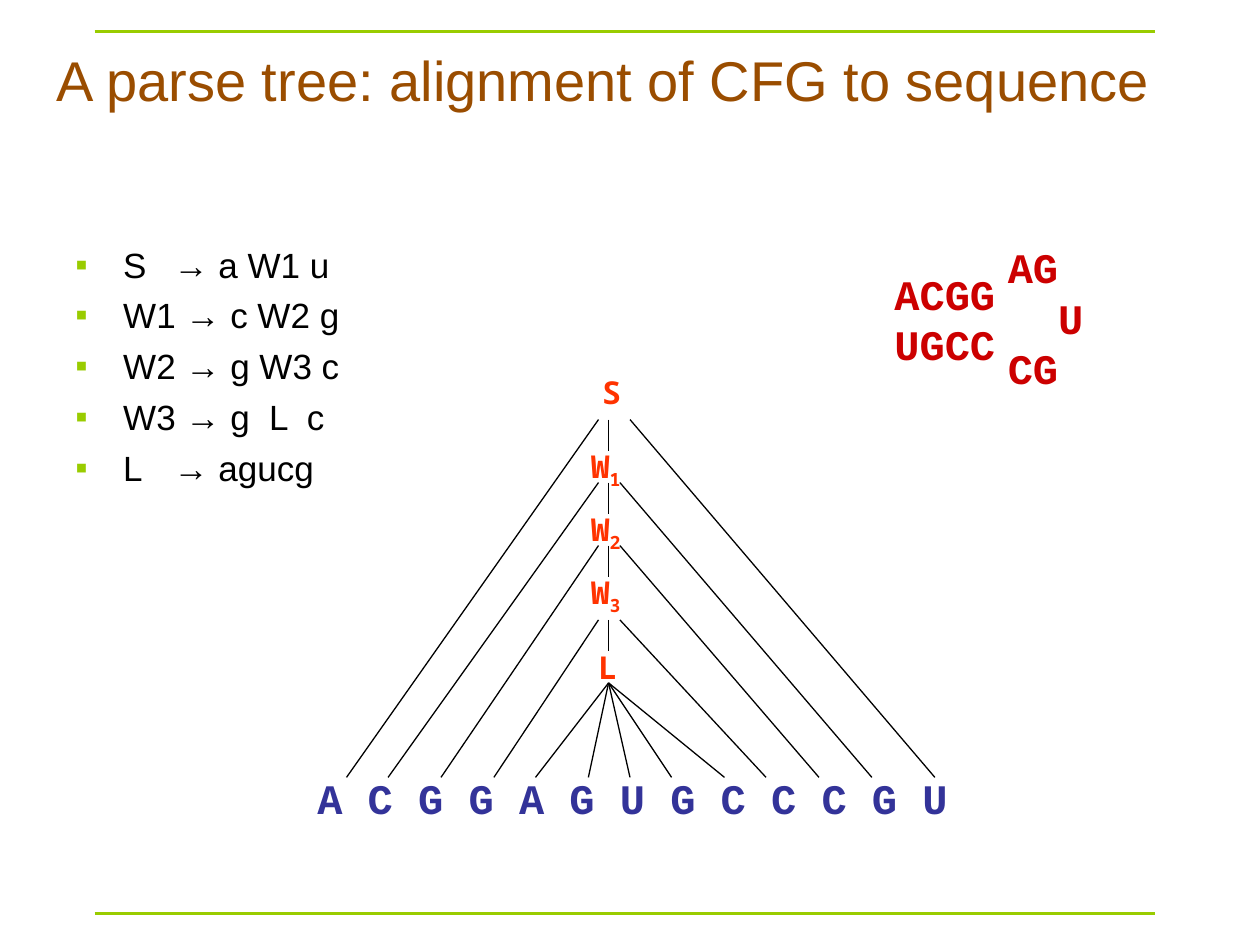
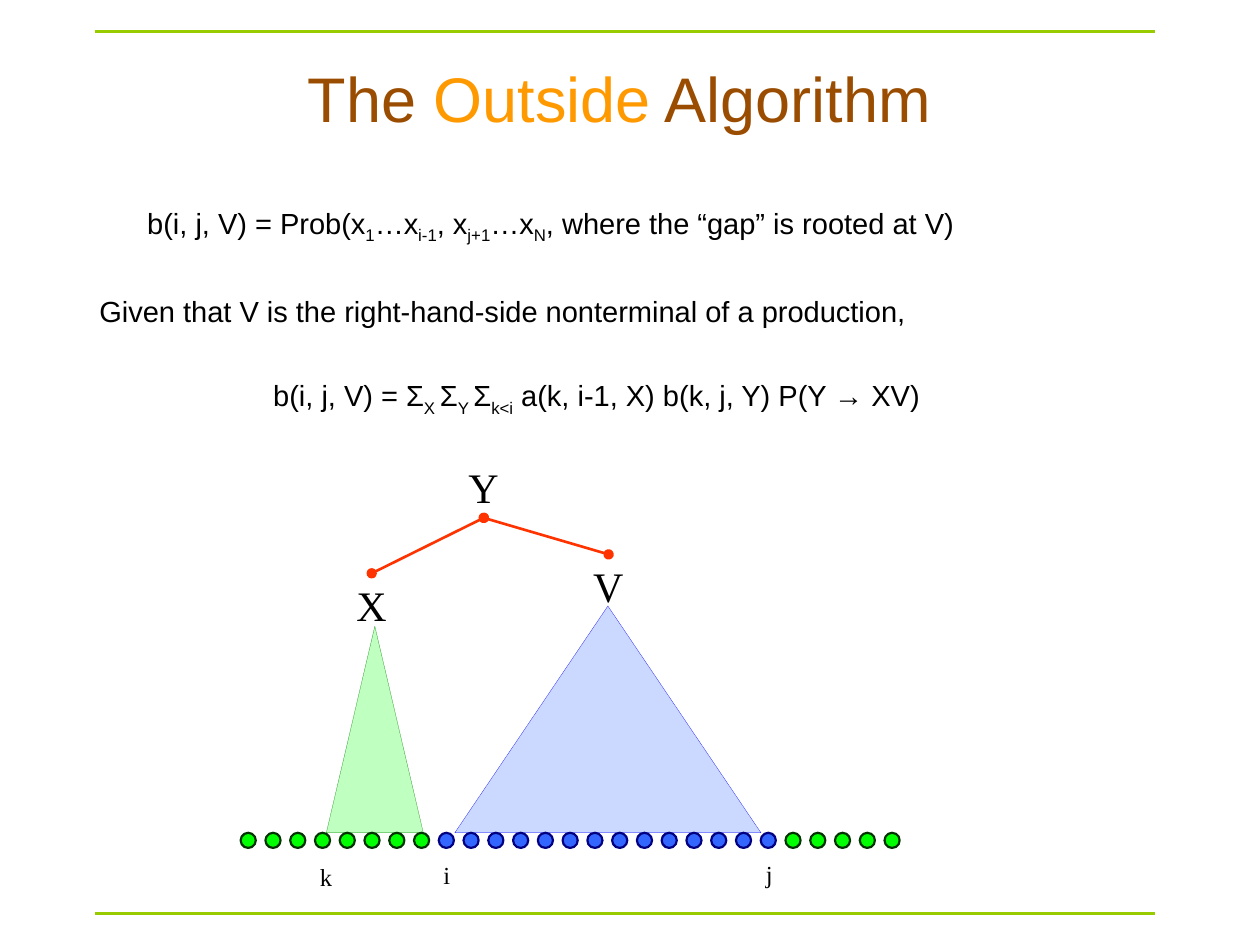
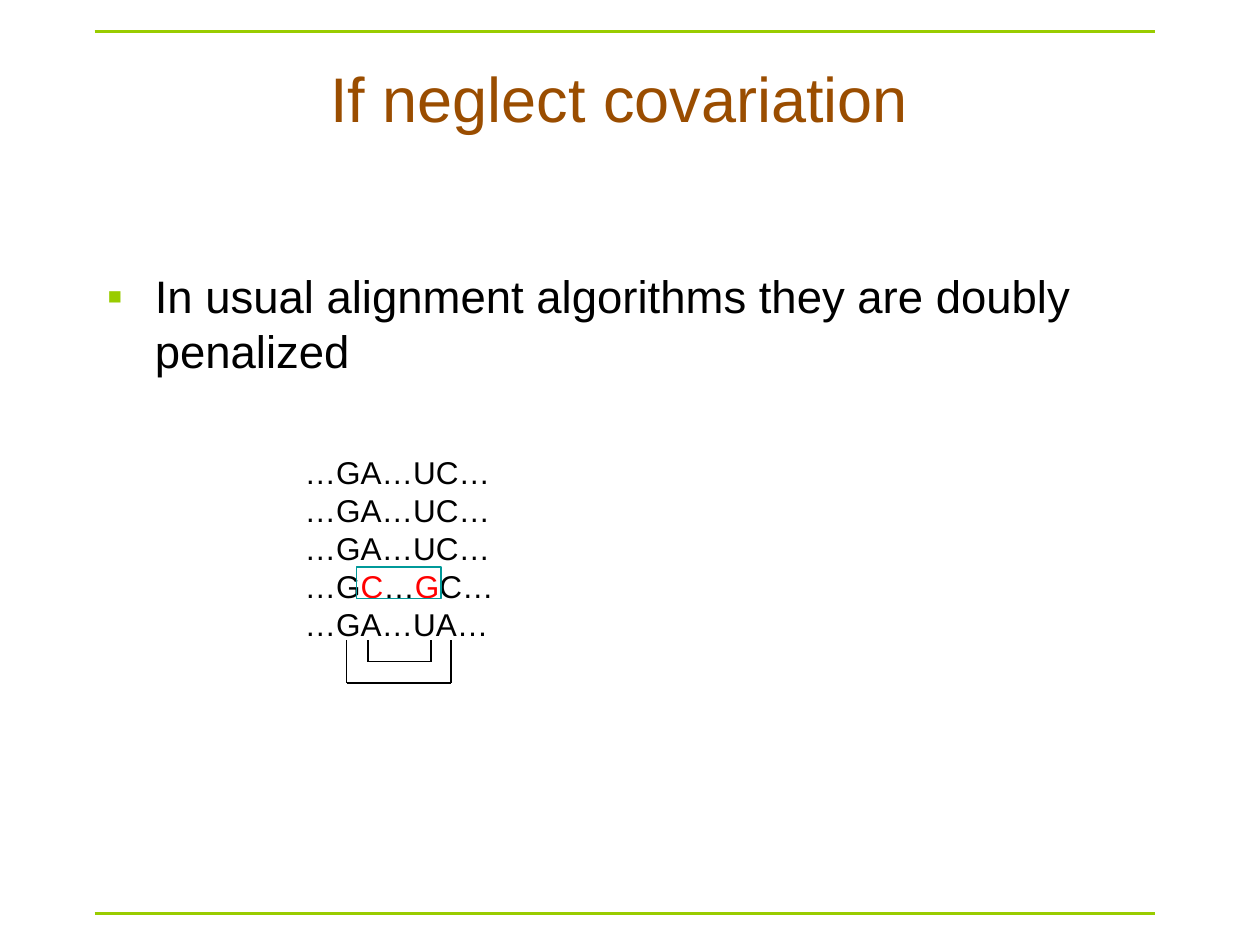
"""Build three slides on parsing RNA sequences with context-free grammars."""
import itertools

import pptx
import pptx.dml.color
import pptx.enum.shapes
import pptx.enum.text
import pptx.oxml.ns
import pptx.util
from lxml import etree

Inches = pptx.util.Inches
Pt = pptx.util.Pt
RGBColor = pptx.dml.color.RGBColor
Preset = pptx.enum.shapes.MSO_SHAPE
Align = pptx.enum.text.PP_ALIGN
qn = pptx.oxml.ns.qn

BLACK = RGBColor(0x00, 0x00, 0x00)
LIME = RGBColor(0x99, 0xCC, 0x00)
BROWN = RGBColor(0x9A, 0x4D, 0x00)
ORANGE = RGBColor(0xFF, 0x99, 0x00)
CRIMSON = RGBColor(0xCC, 0x00, 0x00)
RED = RGBColor(0xFF, 0x00, 0x00)
VERMILION = RGBColor(0xFF, 0x33, 0x00)
INDIGO = RGBColor(0x33, 0x33, 0x99)
TEAL = RGBColor(0x00, 0x99, 0x99)
BLUE = RGBColor(0x33, 0x66, 0xFF)
PURE_BLUE = RGBColor(0x00, 0x00, 0xFF)
NAVY = RGBColor(0x00, 0x00, 0x80)
GREEN = RGBColor(0x00, 0xFF, 0x00)
MID_GREEN = RGBColor(0x00, 0x80, 0x00)
DARK_GREEN = RGBColor(0x00, 0x33, 0x00)

SUB = "subscript"
SANS, MONO, TREE_FONT, SERIF = "Arial", "Courier New", "Noto Sans Mono", "Times New Roman"
BAND_TOPS = (0.25, 7.25)
BAND_LEFT, BAND_RIGHT = 0.75, 9.17
TITLE_AREA = (1, 0.42, 7.83, 0.7)
HANG = 0.38

RULES = ["S\t→ a W1 u", "W1 → c W2 g", "W2 → g W3 c", "W3 → g  L  c", "L\t→ agucg"]
RULE_TAB = 0.78
STEM = ["ACGG", "UGCC"]
LOOP = ["AG", "U", "CG"]
SEQUENCE = "A C G G A G U G C C C G U"
TREE_NODES = [
    (["S"], 4.68, 2.91, 0.34),
    (["W", ("1", SUB)], 4.59, 3.5, 0.52),
    (["W", ("2", SUB)], 4.59, 4, 0.52),
    (["W", ("3", SUB)], 4.59, 4.5, 0.52),
    (["L"], 4.65, 5.09, 0.34),
]
LEAVES = [2.75, 3.08, 3.5, 3.92, 4.25, 4.67, 5, 5.33, 5.75, 6.08, 6.5, 6.92, 7.42]
LEAF_TOP, SPINE, SPINE_STEP, LOOP_TOP = 6.17, 4.83, 0.25, 5.42
BRANCHES = [(4.75, 5, 3.33), (4.75, 4.92, 3.83), (4.75, 4.92, 4.33), (4.75, 4.92, 4.92)]

OUTSIDE_TEXT = [
    (HANG, 4.5, ["b(i, j, V) = Prob(x", ("1", SUB), "…x", ("i-1", SUB), ", x", ("j+1", SUB),
                 "…x", ("N", SUB), ", where the “gap” is rooted at V)"]),
    (0, 28, ["Given that V is the right-hand-side nonterminal of a production,"]),
    (1 + HANG, 28, ["b(i, j, V) = Σ", ("X ", SUB), "Σ", ("Y ", SUB), "Σ", ("k<i", SUB),
                    " a(k, i-1, X) b(k, j, Y) P(Y → XV)"]),
]
DOT_RUNS = [(8, GREEN, DARK_GREEN), (14, BLUE, NAVY), (5, GREEN, DARK_GREEN)]
DOT_LEFT, DOT_TOP, DOT_SIZE, DOT_STEP = 1.91, 6.61, 0.12, 5.11 / 26
TRIANGLES = [((3.61, 4.81, 2.43, 1.8), BLUE, PURE_BLUE),
             ((2.59, 4.97, 0.77, 1.64), GREEN, MID_GREEN)]
MARKS = [("Y", 24, (3.62, 3.61, 0.44, 0.5)), ("X", 24, (2.73, 4.55, 0.44, 0.5)),
         ("V", 24, (4.61, 4.4, 0.44, 0.5)), ("k", 14, (2.44, 6.79, 0.3, 0.34)),
         ("i", 14, (3.42, 6.78, 0.25, 0.34)), ("j", 14, (5.98, 6.77, 0.25, 0.34))]
Y_POINT = (3.84, 4.11)
CHILD_POINTS = [(2.95, 4.55), (4.83, 4.4)]

PENALTY = "In usual alignment algorithms they are doubly penalized"
ALIGNMENT = [["…GA…UC…"]] * 3 + [["…G", ("C", RED), "…", ("G", RED), "C…"], ["…GA…UA…"]]
BRACKETS = [(2.92, 3.42, 5.25), (2.75, 3.58, 5.42)]
BRACKET_TOP = 5.08


def add_spans(para, spans, font, size, color, bold=False):
    """Fill a paragraph with plain, subscript and coloured spans."""
    para.font.name, para.font.size, para.font.bold = font, Pt(size), bold
    varied = any(isinstance(item, tuple) and item[1] != SUB for item in spans)
    if not varied:
        para.font.color.rgb = color
    for item in spans:
        text, style = item if isinstance(item, tuple) else (item, None)
        span = para.add_run()
        span.text = text
        if style == SUB:
            span.font._element.set("baseline", "-25000")
        elif varied:
            span.font.color.rgb = style or color


def indent(para, left, first=0):
    """Set the left and first-line indents of a paragraph in inches."""
    props = para._p.get_or_add_pPr()
    props.set("marL", str(Inches(left)))
    props.set("indent", str(Inches(first)))
    return props


def add_bullet(para, tab=None):
    """Give a paragraph a hanging green square and an optional tab stop."""
    props = indent(para, HANG, -HANG)
    color = etree.SubElement(props, qn("a:buClr"))
    etree.SubElement(color, qn("a:srgbClr"), val=str(LIME))
    etree.SubElement(props, qn("a:buFont"), typeface=SANS)
    etree.SubElement(props, qn("a:buChar"), char="▪")
    if tab:
        stops = etree.SubElement(props, qn("a:tabLst"))
        etree.SubElement(stops, qn("a:tab"), pos=str(Inches(tab)), algn="l")


def add_paras(page, area, count, wrap=True):
    """Add a text box and return its empty paragraphs."""
    frame = page.shapes.add_textbox(*map(Inches, area)).text_frame
    frame.word_wrap = wrap
    return [frame.paragraphs[0]] + [frame.add_paragraph() for _ in range(count - 1)]


def add_text(page, area, lines, font, size, color, bold=False, wrap=True):
    """Add a text box with one paragraph for each list of spans."""
    paras = add_paras(page, area, len(lines), wrap)
    for para, spans in zip(paras, lines):
        add_spans(para, spans, font, size, color, bold)
    return paras


def add_bullets(page, area, lines, size, before, tab=None):
    """Add a bulleted list."""
    for para, line in zip(add_paras(page, area, len(lines)), lines):
        add_bullet(para, tab)
        para.space_before = Pt(before)
        add_spans(para, [line], SANS, size, BLACK)


def add_line(page, start, end, color=BLACK, width=0.74, ends=None):
    """Add a straight line, with the given shape on both ends."""
    line = page.shapes.add_connector(pptx.enum.shapes.MSO_CONNECTOR.STRAIGHT,
                                     *map(Inches, start + end))
    line.line.color.rgb, line.line.width = color, Pt(width)
    props = line._element.spPr
    if ends:
        for tag in ("a:headEnd", "a:tailEnd"):
            etree.SubElement(props.find(qn("a:ln")), qn(tag), type=ends)
    etree.SubElement(props, qn("a:effectLst"))
    return line


def add_figure(page, preset, area, fill, outline, width, alpha=None):
    """Add a preset shape, filled or hollow."""
    shape = page.shapes.add_shape(preset, *map(Inches, area))
    shape.shadow.inherit = False
    shape.line.color.rgb, shape.line.width = outline, Pt(width)
    if fill is None:
        shape.fill.background()
        return
    shape.fill.solid()
    shape.fill.fore_color.rgb = fill
    if alpha:
        color = shape._element.spPr.find(qn("a:solidFill"))[0]
        etree.SubElement(color, qn("a:alpha"), val=str(alpha * 1000))


def add_page(deck, title, size=36, area=TITLE_AREA):
    """Add a title-only slide with a formatted title."""
    page = deck.slides.add_slide(deck.slide_layouts[5])
    box = page.shapes.title
    box.left, box.top, box.width, box.height = map(Inches, area)
    frame = box.text_frame
    frame.word_wrap = True
    frame.auto_size = pptx.enum.text.MSO_AUTO_SIZE.NONE
    frame.vertical_anchor = pptx.enum.text.MSO_ANCHOR.MIDDLE
    frame.paragraphs[0].alignment = Align.CENTER
    add_spans(frame.paragraphs[0], title, SANS, size, BROWN)
    return page


def add_bands(page):
    """Draw the green bands and move them to the shared layout."""
    for top in BAND_TOPS:
        band = add_line(page, (BAND_LEFT, top), (BAND_RIGHT, top), LIME, 2.24)
        page.slide_layout.shapes._spTree.append(band._element)


def build_parse_tree(deck):
    """Build the slide that aligns the grammar to a sequence."""
    page = add_page(deck, ["A parse tree: alignment of CFG to sequence"], 32, (0, 0, 9.58, 1.25))
    add_bands(page)
    add_bullets(page, (0.5, 1.88, 2.57, 2.11), RULES, 20, 5, RULE_TAB)
    add_text(page, (7, 2.08, 1.27, 0.9), [[row] for row in STEM], MONO, 24, CRIMSON, True)
    loop = add_text(page, (7.9, 1.87, 1.27, 1.3), [[row] for row in LOOP], MONO, 24, CRIMSON, True)
    indent(loop[1], 0.4)
    add_text(page, (2.42, 6.08, 5.42, 0.5), [[SEQUENCE]], MONO, 24, INDIGO, True)
    for spans, left, top, width in TREE_NODES:
        add_text(page, (left, top, width, 0.4), [spans], TREE_FONT, 18, VERMILION, True, False)
    for index, (left, right, top) in enumerate(BRANCHES):
        add_line(page, (LEAVES[index], LEAF_TOP), (left, top))
        add_line(page, (SPINE, top), (SPINE, top + SPINE_STEP))
        add_line(page, (right, top), (LEAVES[-1 - index], LEAF_TOP))
    for leaf in LEAVES[len(BRANCHES):-len(BRANCHES)]:
        add_line(page, (leaf, LEAF_TOP), (SPINE, LOOP_TOP))


def build_outside(deck):
    """Build the slide on the outside algorithm."""
    page = add_page(deck, ["The ", ("Outside", ORANGE), " Algorithm"])
    paras = add_text(page, (0.69, 1.58, 8.92, 1.89), [row[2] for row in OUTSIDE_TEXT],
                     SANS, 16.6, BLACK)
    for para, (left, before, _) in zip(paras, OUTSIDE_TEXT):
        indent(para, left)
        para.space_before = Pt(before)
    for area, fill, outline in TRIANGLES:
        add_figure(page, Preset.ISOSCELES_TRIANGLE, area, fill, outline, 0.11, 25)
    dots = itertools.chain.from_iterable([colors] * count for count, *colors in DOT_RUNS)
    for index, (fill, outline) in enumerate(dots):
        area = (DOT_LEFT + index * DOT_STEP, DOT_TOP, DOT_SIZE, DOT_SIZE)
        add_figure(page, Preset.OVAL, area, fill, outline, 1.25)
    for text, size, area in MARKS:
        add_text(page, area, [[text]], SERIF, size, BLACK, wrap=False)
    for point in CHILD_POINTS:
        add_line(page, Y_POINT, point, VERMILION, 1.5, "oval")


def build_covariation(deck):
    """Build the slide on neglected covariation."""
    page = add_page(deck, ["If neglect covariation"])
    add_bullets(page, (0.75, 2.08, 8.42, 4.75), [PENALTY], 26, 6.5)
    add_text(page, (2.32, 3.55, 1.7, 1.6), ALIGNMENT, SANS, 18, BLACK, wrap=False)
    add_figure(page, Preset.RECTANGLE, (2.83, 4.5, 0.67, 0.25), None, TEAL, 0.74)
    for left, right, bottom in BRACKETS:
        corners = [(left, BRACKET_TOP), (left, bottom), (right, bottom), (right, BRACKET_TOP)]
        for start, end in zip(corners, corners[1:]):
            add_line(page, start, end)


deck = pptx.Presentation()
deck.slide_width, deck.slide_height = Inches(10), Inches(7.5)
build_parse_tree(deck)
build_outside(deck)
build_covariation(deck)
deck.save("out.pptx")
